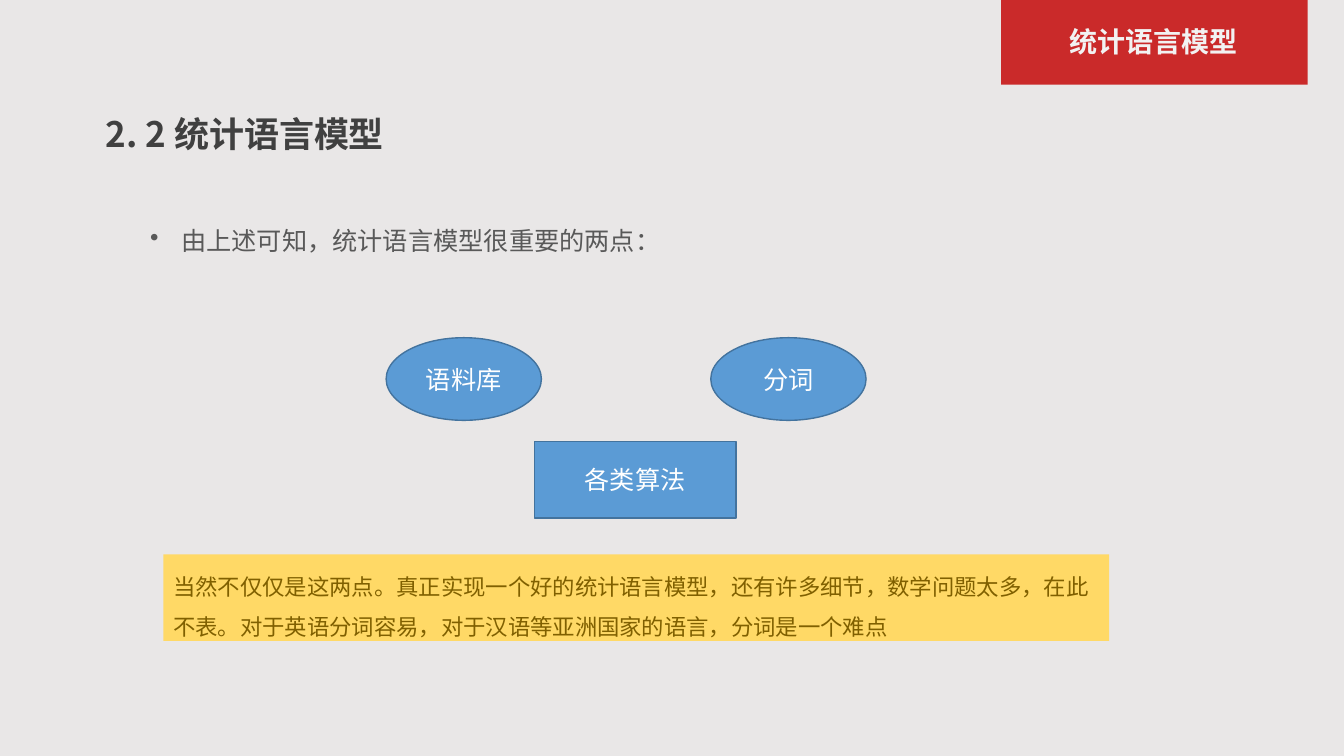
from lxml import etree
from pptx import Presentation
from pptx import util as u
from pptx.dml.color import RGBColor
from pptx.enum import shapes, text
from pptx.oxml import ns

GREY = RGBColor(0xE9, 0xE7, 0xE7)
RED = RGBColor(0xCA, 0x2A, 0x2A)
PALE = RGBColor(0xF2, 0xF2, 0xF2)
CHARCOAL = RGBColor(0x40, 0x40, 0x40)
SLATE = RGBColor(0x59, 0x59, 0x59)
BLUE = RGBColor(0x5B, 0x9B, 0xD5)
NAVY = RGBColor(0x43, 0x73, 0x9E)
WHITE = RGBColor(0xFF, 0xFF, 0xFF)
YELLOW = RGBColor(0xFF, 0xD9, 0x66)
BROWN = RGBColor(0x80, 0x60, 0x00)
HAN = "Noto Sans CJK SC"
LATIN = "Calibri"
RECT = shapes.MSO_SHAPE.RECTANGLE
OVAL = shapes.MSO_SHAPE.OVAL
LEFT, CENTER = text.PP_ALIGN.LEFT, text.PP_ALIGN.CENTER
TOP, MIDDLE = text.MSO_ANCHOR.TOP, text.MSO_ANCHOR.MIDDLE


def inches(box):
    """Turn a (left, top, width, height) box into lengths."""
    return [u.Inches(value) for value in box]


def add_panel(page, kind, box, fill, line=None):
    """Add a flat filled shape, outlined if a line colour is given."""
    panel = page.shapes.add_shape(kind, *inches(box))
    panel.shadow.inherit = False
    panel.fill.solid()
    panel.fill.fore_color.rgb = fill
    if line is None:
        panel.line.fill.background()
    else:
        panel.line.color.rgb = line
        panel.line.width = u.Pt(1)
    return panel


def write(shape, words, size, color, face=HAN, bold=False, align=LEFT,
          anchor=TOP, spacing=None, wrap=True):
    """Write one styled paragraph into a shape and return it."""
    frame = shape.text_frame
    frame.word_wrap = wrap
    frame.vertical_anchor = anchor
    para = frame.paragraphs[0]
    para.text = words
    para.alignment = align
    para.line_spacing = spacing
    font = para.font
    font.name, font.size, font.bold = face, u.Pt(size), bold
    font.color.rgb = color
    latin = font._element.find(ns.qn("a:latin"))
    east = etree.Element(ns.qn("a:ea"), typeface=HAN)
    latin.addnext(east)
    return para


def add_tag(page, box):
    """Add the red section tag hanging from the top edge."""
    left, top, width, _ = box
    add_panel(page, RECT, box, RED)
    label = page.shapes.add_textbox(*inches((left + 0.01, top + 0.23, width - 0.04, 0.42)))
    para = write(label, "统计语言模型", 20, PALE, bold=True, align=CENTER, spacing=0.9)
    para.space_before = u.Pt(10)


def add_heading(page, box):
    """Add the numbered section heading."""
    heading = page.shapes.add_textbox(*inches(box))
    write(heading, "2. 2 统计语言模型 ", 25, CHARCOAL, bold=True, wrap=False)


def add_point(page, box):
    """Add the bulleted lead-in sentence."""
    point = page.shapes.add_textbox(*inches(box))
    para = write(point, "由上述可知，统计语言模型很重要的两点：", 18, SLATE, spacing=1.5)
    properties = para._p.get_or_add_pPr()
    indent = u.Inches(0.31)
    properties.set("marL", str(indent))
    properties.set("indent", str(-indent))
    bullet = etree.Element(ns.qn("a:buChar"), char="•")
    properties.find(ns.qn("a:defRPr")).addprevious(bullet)


def add_diagram(page, box):
    """Add two ovals in the upper corners and the algorithms box below."""
    left, top, width, height = box
    oval_width, oval_height = 1.54, 0.82
    nodes = [
        ("语料库", OVAL, (left, top, oval_width, oval_height)),
        ("分词", OVAL, (left + width - oval_width, top, oval_width, oval_height)),
        ("各类算法", RECT, (left + 1.47, top + height - 0.76, 2, 0.76)),
    ]
    for words, kind, place in nodes:
        node = add_panel(page, kind, place, BLUE, NAVY)
        write(node, words, 18, WHITE, face=LATIN, align=CENTER, anchor=MIDDLE)


def add_note(page, box):
    """Add the yellow closing remark."""
    note = add_panel(page, RECT, box, YELLOW)
    words = ("当然不仅仅是这两点。真正实现一个好的统计语言模型，还有许多细节，数学问题太多，在此不表。"
             "对于英语分词容易，对于汉语等亚洲国家的语言，分词是一个难点")
    write(note, words, 16, BROWN, spacing=1.5)


def build():
    """Build and save the deck."""
    deck = Presentation()
    deck.slide_width, deck.slide_height = u.Inches(13.33), u.Inches(7.5)
    page = deck.slides.add_slide(deck.slide_layouts[6])
    page.background.fill.solid()
    page.background.fill.fore_color.rgb = GREY
    add_tag(page, (9.93, 0, 3.04, 0.84))
    add_note(page, (1.62, 5.5, 9.38, 0.86))
    add_heading(page, (0.95, 1.07, 3.15, 0.52))
    add_point(page, (1.39, 2.04, 11.21, 0.5))
    add_diagram(page, (3.83, 3.35, 4.76, 1.79))
    deck.save("out.pptx")


build()
